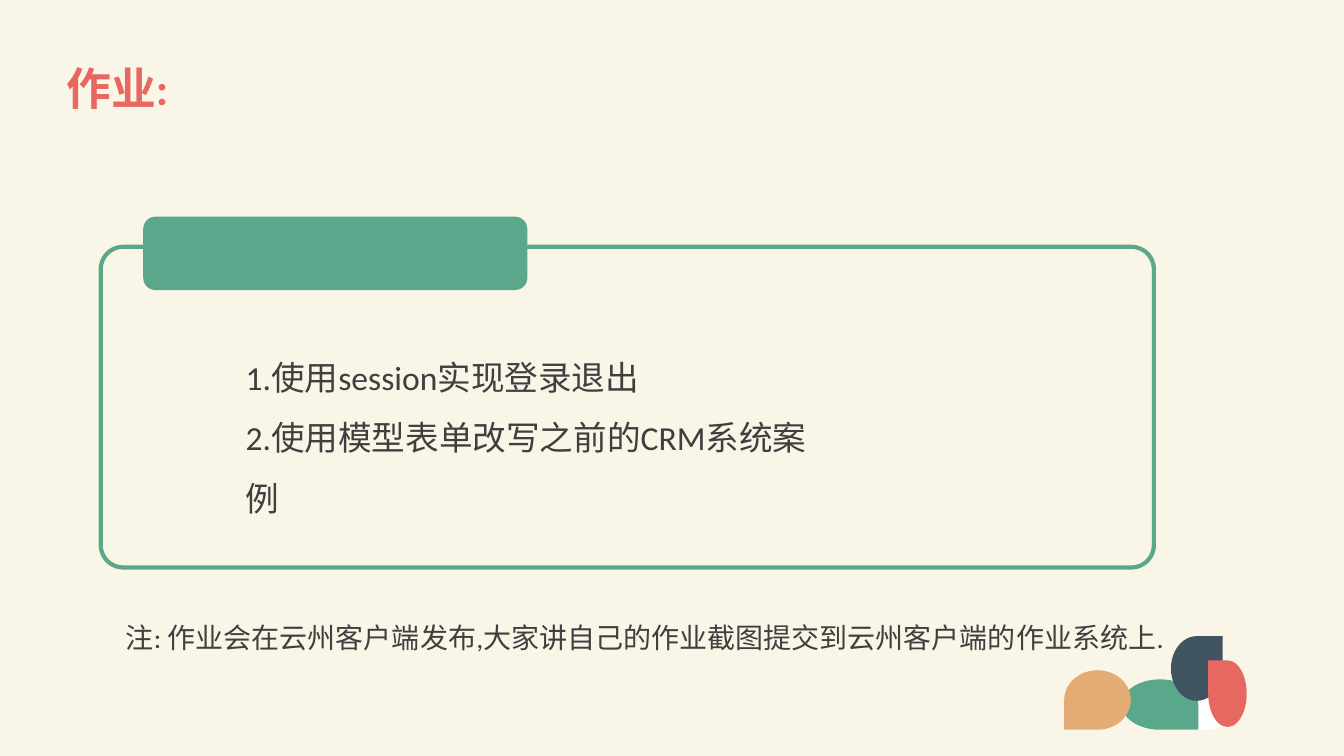
from pptx import Presentation
from pptx.dml.color import RGBColor
from pptx.enum.shapes import MSO_SHAPE as Kind
from pptx.enum.text import MSO_ANCHOR as Anchor, MSO_AUTO_SIZE as Fit
from pptx.util import Cm, Pt

GREEN, CORAL, NAVY, SAND = "5BA78C", "E76861", "3F5361", "E5AB74"
CREAM, WHITE, INK = "F9F6E7", "FFFFFF", "3F3F3F"


def paint(fill, color):
    fill.solid()
    fill.fore_color.rgb = RGBColor.from_string(color)


def add_form(slide, kind, box, fill=None, line=None):
    form = slide.shapes.add_shape(kind, *map(Cm, box))
    form.shadow.inherit = False
    if fill:
        paint(form.fill, fill)
    else:
        form.fill.background()
    if line:
        paint(form.line.fill, line)
        form.line.width = Pt(3)
    else:
        form.line.fill.background()
    return form


def add_petal(slide, box, color, flips=()):
    """Draw an oval with one square corner, at the top right unless flipped."""
    petal = add_form(slide, Kind.TEAR, box, color)
    for flip in flips:
        petal.element.spPr.xfrm.set(flip, "1")


def add_text(slide, box, lines, size, color=INK, bold=False, space=1.0):
    frame = slide.shapes.add_textbox(*map(Cm, box)).text_frame
    frame.word_wrap = True
    frame.text = "\n".join(lines)
    for para in frame.paragraphs:
        para.line_spacing = space
        para.font.name = "Calibri"
        para.font.size = Pt(size)
        para.font.bold = bold
        paint(para.font.fill, color)
    return frame


def add_petals(slide):
    add_petal(slide, (28.27, 17.12, 1.93, 1.27), GREEN, ["flipV"])
    add_petal(slide, (29.51, 16.03, 1.3, 1.63), NAVY)
    add_petal(slide, (30.45, 16.64, 0.97, 1.68), CORAL, ["flipH"])
    add_petal(slide, (26.82, 16.89, 1.68, 1.5), SAND, ["flipH", "flipV"])


def main():
    deck = Presentation()
    deck.slide_width, deck.slide_height = Cm(33.87), Cm(19.05)
    slide = deck.slides.add_slide(deck.slide_layouts[6])
    paint(slide.background.fill, CREAM)

    add_form(slide, Kind.OVAL, (29.57, 17.63, 1.52, 0.76), WHITE)
    title = add_text(slide, (1.42, 0.94, 31.22, 2.72), ["作业:"],
                     32, CORAL, bold=True, space=0.9)
    title.vertical_anchor = Anchor.MIDDLE
    add_petals(slide)

    card = add_form(slide, Kind.ROUNDED_RECTANGLE,
                    (2.54, 6.22, 26.54, 8.08), line=GREEN)
    card.adjustments[0] = 0.07
    add_form(slide, Kind.ROUNDED_RECTANGLE, (3.61, 5.46, 9.68, 1.85), GREEN)

    tasks = add_text(slide, (5.94, 8.36, 15.47, 3.33),
                     ["1.使用session实现登录退出",
                      "2.使用模型表单改写之前的CRM系统案例"], 24, space=1.5)
    note = add_text(slide, (2.92, 15.52, 26.59, 1.12),
                    ["注: 作业会在云州客户端发布,大家讲自己的作业截图"
                     "提交到云州客户端的作业系统上."], 20)
    for frame in (tasks, note):
        frame.auto_size = Fit.SHAPE_TO_FIT_TEXT

    deck.save("out.pptx")


if __name__ == "__main__":
    main()
